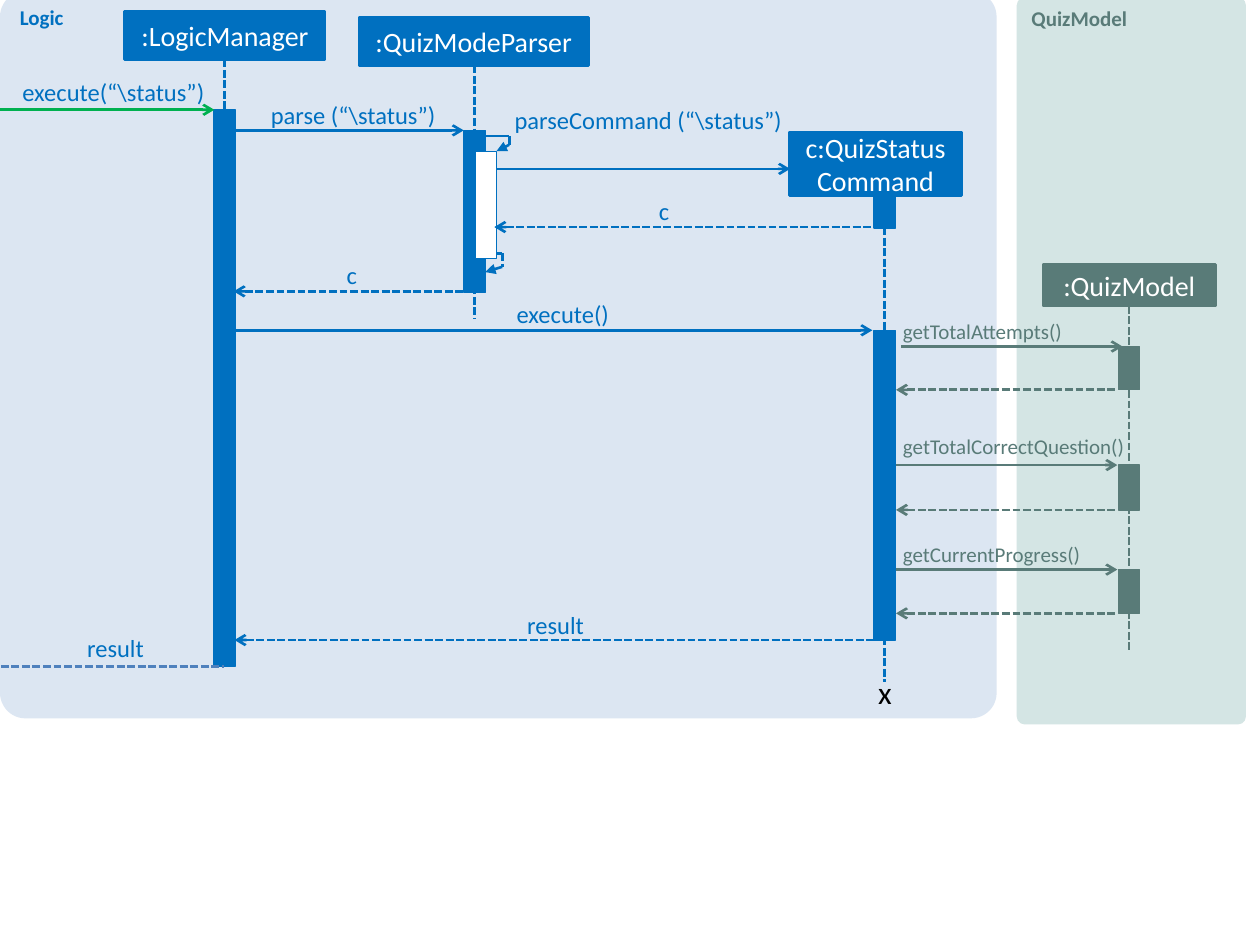
"""Build a sequence diagram of the quiz status command."""
import pptx
import pptx.dml.color
import pptx.enum.dml
import pptx.enum.shapes
import pptx.enum.text
import pptx.oxml.ns
import pptx.util
from lxml import etree

Pt = pptx.util.Pt
RGBColor = pptx.dml.color.RGBColor
SHAPES = pptx.enum.shapes.MSO_SHAPE
ALIGN = pptx.enum.text.PP_ALIGN
ANCHOR = pptx.enum.text.MSO_ANCHOR

BLUE = RGBColor(0x00, 0x70, 0xC0)
PALE_BLUE = RGBColor(0xDC, 0xE6, 0xF2)
STEEL = RGBColor(0x4F, 0x81, 0xBD)
TEAL = RGBColor(0x59, 0x7B, 0x78)
PALE_TEAL = RGBColor(0xD4, 0xE5, 0xE4)
GREEN = RGBColor(0x00, 0xB0, 0x50)
WHITE = RGBColor(0xFF, 0xFF, 0xFF)
BLACK = RGBColor(0x00, 0x00, 0x00)
FONT = "Calibri"
BAR_WIDTH = 12.25
CALL, RETURN = "tailEnd", "headEnd"

# name, (left, top, width, height), fill, text colour
PANELS = [
    ("QuizModel", (581, -1.5, 131, 415.5), PALE_TEAL, TEAL),
    ("Logic", (0, -5, 569.5, 415.5), PALE_BLUE, BLUE),
]
# name, (left, top, width, height), lifeline x, lifeline end, colour
PARTICIPANTS = [
    (":LogicManager", (71.3, 6.5, 114.5, 27.4), 128.25, 371.5, BLUE),
    (":QuizModeParser", (205.2, 10, 131, 27.4), 271.25, 182, BLUE),
    ("c:QuizStatusCommand", (451.3, 75.5, 98, 36.3), 505.5, 390, BLUE),
    (":QuizModel", (596, 151, 98.6, 23.8), 645.2, 371.5, TEAL),
]
# centre x, top, bottom, fill
ACTIVATIONS = [
    (128.25, 62.75, 381, BLUE),
    (271.25, 74.5, 167, BLUE),
    (505.5, 108.5, 130.25, BLUE),
    (505.5, 188.75, 365.75, BLUE),
    (277.8, 86.75, 147.75, WHITE),
]
# kind, left, right, y, colour
MESSAGES = [
    (CALL, -24, 122.5, 62.75, GREEN),
    (CALL, 134.5, 265, 74.5, BLUE),
    (CALL, 283.5, 451.5, 96.5, BLUE),
    (RETURN, 282.5, 503, 129.75, BLUE),
    (RETURN, 133.5, 268.5, 166.5, BLUE),
    (CALL, 133.5, 498.5, 188.75, BLUE),
    (RETURN, 134, 499.5, 365.75, BLUE),
    (RETURN, -24, 128, 381, STEEL),
]
# text, left, top, width
LABELS = [
    ("execute(“\\status”)", 8.8, 44.3, 112),
    ("parse (“\\status”)", 148.3, 57.2, 107),
    ("parseCommand (“\\status”)", 287.3, 60.1, 166.4),
    ("c", 348.5, 112.2, 62),
    ("c", 170, 148.6, 62),
    ("execute()", 287.6, 171, 68),
    ("result", 293, 348.8, 49),
    ("result", 36, 362, 60),
]
# text, label top, label width, call start, call end, top, return y
MODEL_CALLS = [
    ("getTotalAttempts()", 182.2, 105, 515, 641.5, 198, 222.75),
    ("getTotalCorrectQuestion()", 247.7, 131, 512, 638.5, 265.75, 291.4),
    ("getCurrentProgress()", 309.6, 105, 512, 638.5, 325.5, 350.5),
]
# points, dashed
SELF_MESSAGES = [
    ([(277, 77.75), (291, 77.75), (291, 82.75), (283.7, 86.4)], False),
    ([(283.7, 144.75), (287, 144.75), (287, 152.5), (277.2, 155.5)], True),
]


def write(shape, text, size, colour, align, bold=False):
    para = shape.text_frame.paragraphs[0]
    para.text = text
    para.alignment = align
    para.font.name, para.font.size = FONT, Pt(size)
    para.font.bold, para.font.color.rgb = bold, colour


def add_box(page, kind, bounds, fill, line=None, width=0.75):
    box = page.shapes.add_shape(kind, *map(Pt, bounds))
    box.shadow.inherit = False
    box.fill.solid()
    box.fill.fore_color.rgb = fill
    if line is None:
        box.line.fill.background()
    else:
        box.line.color.rgb, box.line.width = line, Pt(width)
    return box


def add_activation(page, centre, top, bottom, fill):
    bounds = (centre - BAR_WIDTH / 2, top, BAR_WIDTH, bottom - top)
    add_box(page, SHAPES.RECTANGLE, bounds, fill, BLUE if fill == WHITE else fill)


def add_line(page, start, end, colour, dashed=False, arrow=None, tip="arrow"):
    straight = pptx.enum.shapes.MSO_CONNECTOR.STRAIGHT
    line = page.shapes.add_connector(straight, *map(Pt, (*start, *end)))
    line.line.color.rgb, line.line.width = colour, Pt(1.5)
    if dashed:
        line.line.dash_style = pptx.enum.dml.MSO_LINE.SQUARE_DOT
    if arrow:
        outline = line.line._get_or_add_ln()
        etree.SubElement(outline, pptx.oxml.ns.qn("a:" + arrow), type=tip)
    etree.SubElement(line._element.spPr, pptx.oxml.ns.qn("a:effectLst"))


def add_message(page, kind, left, right, y, colour):
    add_line(page, (left, y), (right, y), colour, kind == RETURN, kind)


def add_label(page, text, bounds, size, colour, align):
    box = page.shapes.add_textbox(*map(Pt, bounds))
    frame = box.text_frame
    frame.word_wrap = True
    frame.margin_left = frame.margin_right = frame.margin_top = frame.margin_bottom = 0
    write(box, text, size, colour, align)


def main():
    deck = pptx.Presentation()
    deck.slide_width, deck.slide_height = Pt(720), Pt(540)
    page = deck.slides.add_slide(deck.slide_layouts[6])

    for name, bounds, fill, colour in PANELS:
        panel = add_box(page, SHAPES.ROUNDED_RECTANGLE, bounds, fill)
        panel.adjustments[0] = 0.035
        panel.text_frame.vertical_anchor = ANCHOR.TOP
        write(panel, name, 12, colour, ALIGN.LEFT, True)

    for _, bounds, x, end, colour in PARTICIPANTS:
        add_line(page, (x, bounds[1] + bounds[3]), (x, end), colour, True)
    for activation in ACTIVATIONS:
        add_activation(page, *activation)
    for name, bounds, _, _, colour in PARTICIPANTS:
        header = add_box(page, SHAPES.RECTANGLE, bounds, colour, colour, 1.5)
        header.text_frame.word_wrap = True
        header.text_frame.vertical_anchor = ANCHOR.MIDDLE
        write(header, name, 16, WHITE, ALIGN.CENTER)

    for message in MESSAGES:
        add_message(page, *message)
    for text, left, top, width in LABELS:
        add_label(page, text, (left, top, width, 17), 14, BLUE, ALIGN.CENTER)
    for points, dashed in SELF_MESSAGES:
        for start, end in zip(points, points[1:]):
            arrow = CALL if end == points[-1] else None
            add_line(page, start, end, BLUE, dashed, arrow, "triangle")

    for text, label_top, width, start, end, top, back in MODEL_CALLS:
        add_activation(page, 645.2, top, back, TEAL)
        add_message(page, CALL, start, end, top, TEAL)
        add_message(page, RETURN, 512, 637.5, back, TEAL)
        add_label(page, text, (516, label_top, width, 14.5), 12, TEAL, ALIGN.LEFT)

    add_label(page, "x", (501.8, 384.5, 9, 22), 18, BLACK, ALIGN.LEFT)
    deck.save("out.pptx")


if __name__ == "__main__":
    main()
